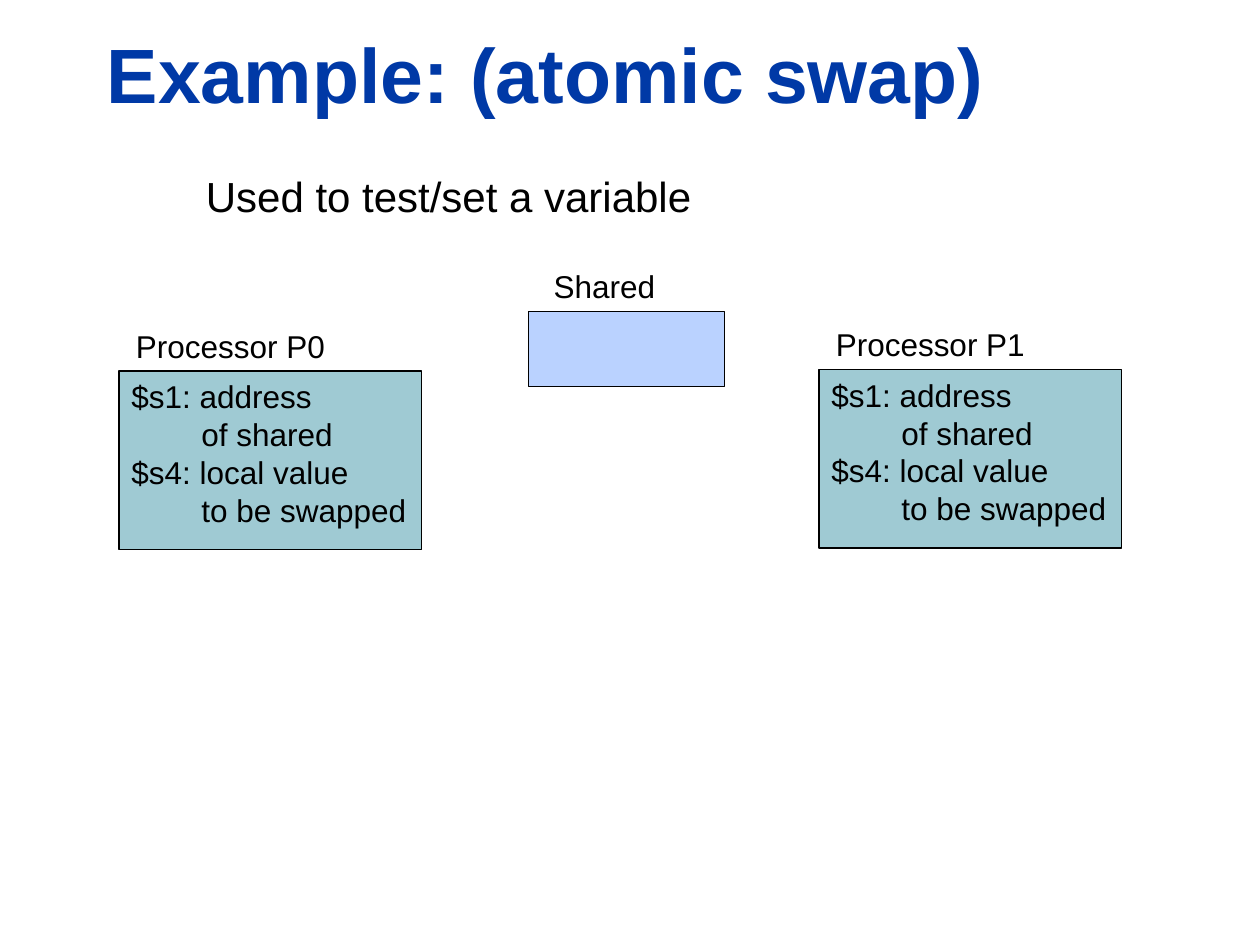
"""Build a slide showing two processors that swap a value with a shared variable."""
from pptx import Presentation
from pptx import util as u
from pptx.dml import color
from pptx.enum import shapes, text


def paint(target, value):
    target.solid()
    target.fore_color.rgb = color.RGBColor.from_string(value)


def write(para, words, size, value="000000", bold=False):
    para.alignment = text.PP_ALIGN.LEFT
    span = para.add_run()
    span.text = words
    span.font.name = "Arial"
    span.font.size = u.Pt(size)
    span.font.bold = bold
    paint(span.font.fill, value)


deck = Presentation()
deck.slide_width, deck.slide_height = u.Cm(25.4), u.Cm(19.05)
page = deck.slides.add_slide(deck.slide_layouts[5])

title = page.shapes.title
title.left, title.top = u.Cm(1.9), u.Cm(0.41)
title.width, title.height = u.Cm(22.94), u.Cm(2.11)
title.text_frame.vertical_anchor = text.MSO_ANCHOR.BOTTOM
title.text_frame.auto_size = text.MSO_AUTO_SIZE.NONE
write(title.text_frame.paragraphs[0], "Example: (atomic swap)", 44, "0039A6", True)

labels = [
    ("Used to test/set a variable", 24, 3.9, 3.32, 10.3, 1.27),
    ("Shared", 18, 10.91, 5.26, 2.6, 1.02),
    ("Processor P0", 18, 2.49, 6.46, 4.34, 1.02),
    ("Processor P1", 18, 16.6, 6.43, 4.34, 1.02),
]
for words, size, *place in labels:
    label = page.shapes.add_textbox(*map(u.Cm, place))
    label.text_frame.word_wrap = False
    label.text_frame.auto_size = text.MSO_AUTO_SIZE.SHAPE_TO_FIT_TEXT
    write(label.text_frame.paragraphs[0], words, size)

registers = [
    ("$s1: address", 0),
    ("of shared", 1.41),
    ("$s4: local value", 0),
    ("to be swapped", 1.41),
]
boxes = [
    ("9FCAD3", registers, 2.4, 7.48, 6.1, 3.6),
    ("9FCAD3", registers, 16.51, 7.45, 6.1, 3.6),
    ("BAD2FF", [], 10.65, 6.28, 3.96, 1.52),
]
for fill, lines, *place in boxes:
    box = page.shapes.add_shape(shapes.MSO_SHAPE.RECTANGLE, *map(u.Cm, place))
    box.shadow.inherit = False
    paint(box.fill, fill)
    paint(box.line.fill, "000000")
    box.line.width = u.Pt(0.75)
    frame = box.text_frame
    frame.vertical_anchor = text.MSO_ANCHOR.TOP
    for number, (words, indent) in enumerate(lines):
        para = frame.add_paragraph() if number else frame.paragraphs[0]
        write(para, words, 18)
        para._p.get_or_add_pPr().set("marL", str(u.Cm(indent)))

deck.save("out.pptx")
